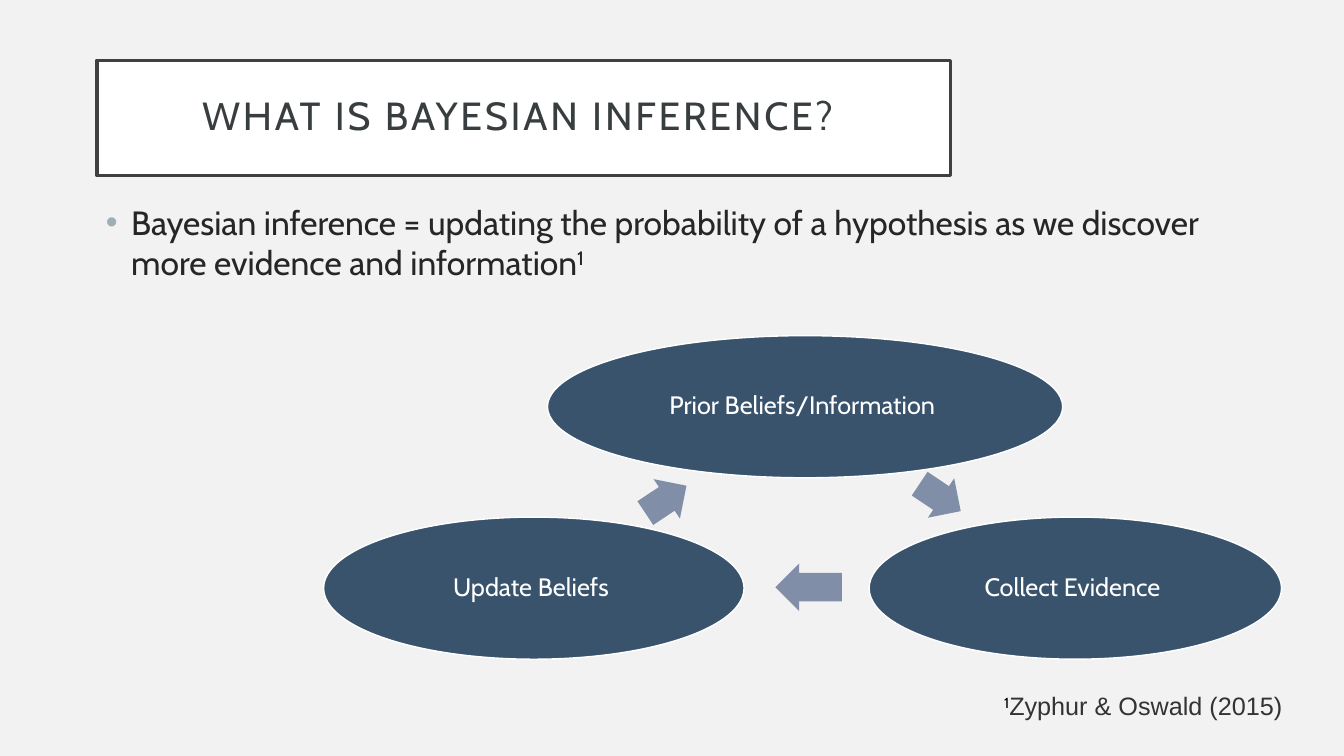
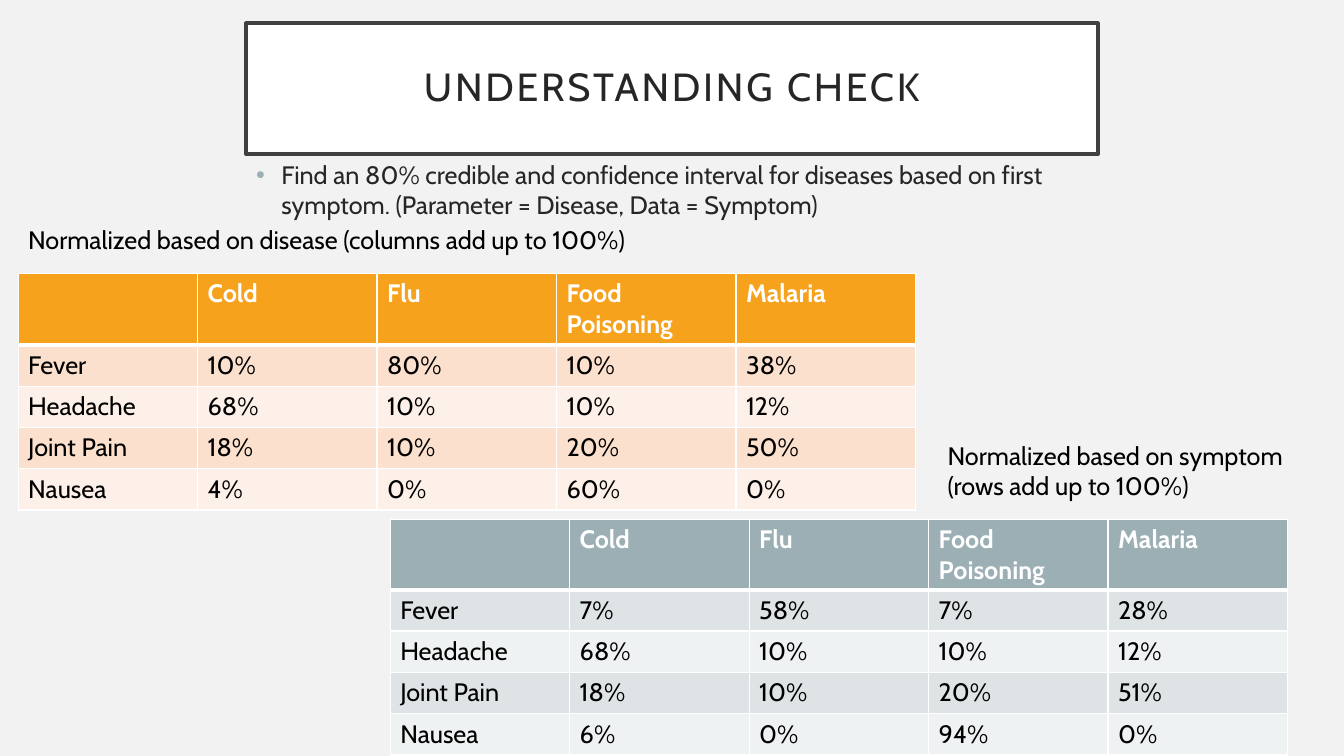
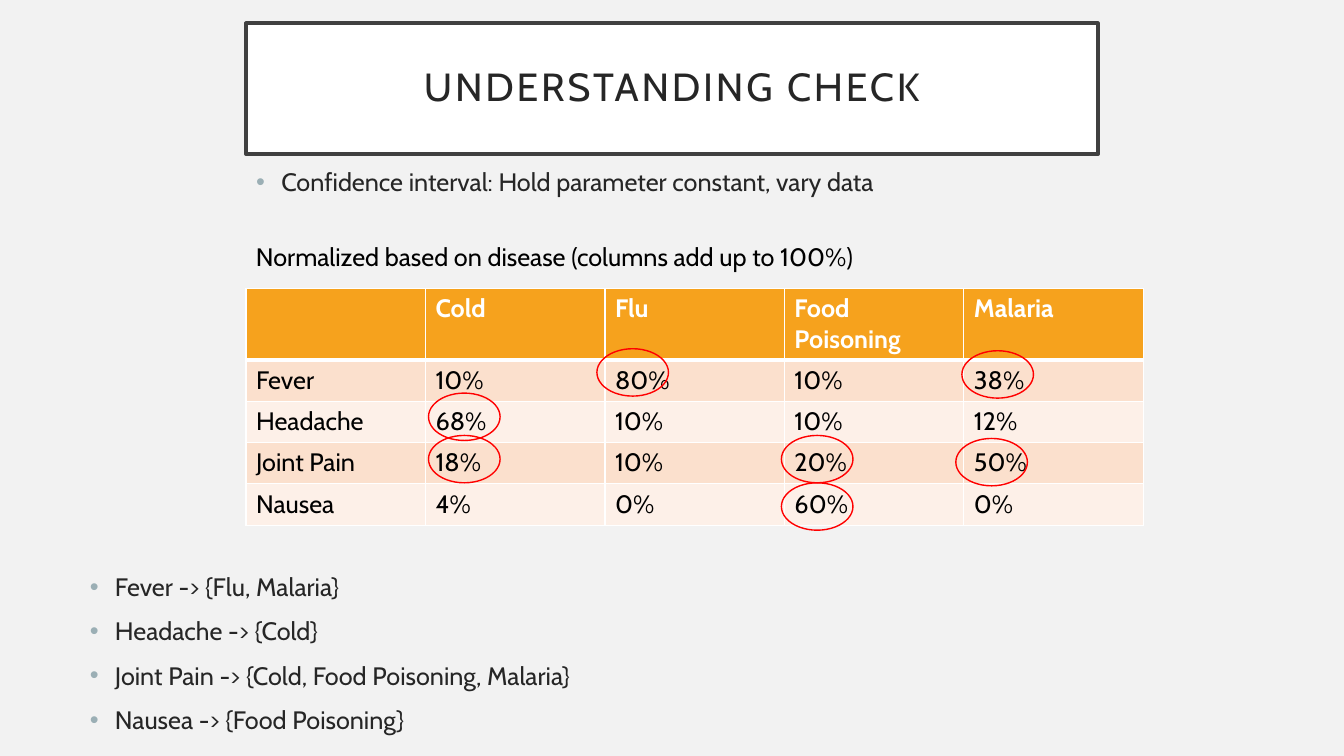
from dataclasses import dataclass

from lxml.etree import SubElement
from pptx import Presentation
from pptx.dml.color import RGBColor
from pptx.enum.shapes import MSO_SHAPE as Preset
from pptx.enum.text import MSO_ANCHOR as Anchor, MSO_AUTO_SIZE as AutoSize, PP_ALIGN as Align
from pptx.oxml.ns import qn
from pptx.util import Inches, Pt


@dataclass(frozen=True)
class Theme:
    """Colours, fonts and type sizes of the deck."""
    background: str = "F2F2F2"
    white: str = "FFFFFF"
    black: str = "000000"
    frame: str = "404040"
    ink: str = "262626"
    slate: str = "383E40"
    citation: str = "333333"
    bullet: str = "9BAFB5"
    node: str = "3A536D"
    arrow: str = "818EA7"
    mark: str = "FF0000"
    orange: tuple = ("F6A21D", "FBE0CD", "FDF0E8")
    grey: tuple = ("9BAFB5", "DEE3E5", "EFF2F3")
    font: str = "Cabin"
    citation_font: str = "Arial"
    title_size: int = 28
    lead_size: int = 24
    text_size: int = 18


THEME = Theme()
SUPERSCRIPT = {"baseline": 30000}
TITLE_PLACE = (2.44, 0.23, 8.45, 1.3)
BY_DISEASE = "Normalized based on disease (columns add up to 100%)"
BY_SYMPTOM = "Normalized based on symptom (rows add up to 100%)"
DISEASES = ["", "Cold", "Flu", "Food Poisoning", "Malaria"]
DISEASE_ROWS = [
    DISEASES,
    ["Fever", "10%", "80%", "10%", "38%"],
    ["Headache", "68%", "10%", "10%", "12%"],
    ["Joint Pain", "18%", "10%", "20%", "50%"],
    ["Nausea", "4%", "0%", "60%", "0%"],
]
SYMPTOM_ROWS = [
    DISEASES,
    ["Fever", "7%", "58%", "7%", "28%"],
    ["Headache", "68%", "10%", "10%", "12%"],
    ["Joint Pain", "18%", "10%", "20%", "51%"],
    ["Nausea", "6%", "0%", "94%", "0%"],
]


def apply(target, values):
    """Set every attribute named in a dict of format values."""
    for name, value in values.items():
        setattr(target, name, value)


def inches(place):
    """Turn a tuple of numbers into lengths."""
    return [Inches(number) for number in place]


def paint(fill, color):
    """Fill solidly with a colour, or leave empty for None."""
    if color is None:
        fill.background()
    else:
        fill.solid()
        fill.fore_color.rgb = RGBColor.from_string(color)


class Page:
    """Draws themed elements on the current slide of a deck."""

    def __init__(self, deck, theme):
        """Keep the deck and theme and paint the shared background."""
        self.deck, self.theme, self.slide = deck, theme, None
        paint(deck.slide_master.background.fill, theme.background)

    def start(self, layout):
        """Add a slide and make it the current one."""
        self.slide = self.deck.slides.add_slide(self.deck.slide_layouts.get_by_name(layout))

    def add_spans(self, para, spans, size=None, color=None, bold=False, paragraph=None):
        """Fill a paragraph with (text, run attributes) spans."""
        apply(para, paragraph or {})
        for text, extra in spans:
            run = para.add_run()
            run.text = text
            extra = dict(extra)
            shade = extra.pop("color", color or self.theme.black)
            apply(run.font, {"name": extra.pop("font", self.theme.font), "bold": bold,
                             "size": Pt(size or self.theme.text_size)})
            run.font.color.rgb = RGBColor.from_string(shade)
            for name, value in extra.items():
                run._r.get_or_add_rPr().set(name, str(value))

    def frame(self, shape, margin=None, **values):
        """Format the text frame of a shape and return it."""
        frame = shape.text_frame
        apply(frame, {"word_wrap": True, "auto_size": AutoSize.NONE, **values})
        if margin is not None:
            apply(frame, {f"margin_{side}": Inches(margin)
                          for side in ("left", "top", "right", "bottom")})
        return frame

    def place(self, shape, place):
        """Move and size a placeholder."""
        apply(shape, dict(zip(("left", "top", "width", "height"), inches(place))))

    def title(self, text, place=TITLE_PLACE, color=None):
        """Add the framed, letter-spaced title."""
        box = self.slide.shapes.title
        self.place(box, place)
        paint(box.fill, self.theme.white)
        paint(box.line.fill, self.theme.frame)
        box.line.width = Pt(2.5)
        frame = self.frame(box, 0.2, vertical_anchor=Anchor.MIDDLE)
        self.add_spans(frame.paragraphs[0], [(text, {"spc": 200})], self.theme.title_size,
                       color or self.theme.ink,
                       paragraph={"alignment": Align.CENTER, "line_spacing": 0.9})

    def bullets(self, index, items, place, size=None):
        """Put a bulleted list, one list of spans an item, in a body placeholder."""
        box = self.slide.placeholders[index]
        self.place(box, place)
        frame = self.frame(box, vertical_anchor=Anchor.TOP)
        for number, spans in enumerate(items):
            para = frame.add_paragraph() if number else frame.paragraphs[0]
            self.add_spans(para, spans, size, self.theme.ink,
                           paragraph={"space_before": Pt(10), "alignment": Align.LEFT})
            props = para._p.get_or_add_pPr()
            props.set("marL", str(Inches(0.25)))
            props.set("indent", str(Inches(-0.25)))
            color = SubElement(props, qn("a:buClr"))
            SubElement(color, qn("a:srgbClr"), val=self.theme.bullet)
            SubElement(props, qn("a:buFont"), typeface="Arial")
            SubElement(props, qn("a:buChar"), char="•")

    def label(self, spans, place, wrap=True):
        """Add a plain text box."""
        box = self.slide.shapes.add_textbox(*inches(place))
        frame = self.frame(box, word_wrap=wrap, auto_size=AutoSize.SHAPE_TO_FIT_TEXT)
        self.add_spans(frame.paragraphs[0], spans)

    def shape(self, preset, place, fill=None, line=None):
        """Add a flat preset shape with a thin outline."""
        shape = self.slide.shapes.add_shape(preset, *inches(place))
        shape.shadow.inherit = False
        paint(shape.fill, fill)
        paint(shape.line.fill, line)
        if line:
            shape.line.width = Pt(1)
        return shape

    def node(self, text, place):
        """Add one labelled ellipse of the cycle."""
        shape = self.shape(Preset.OVAL, place, self.theme.node, self.theme.white)
        frame = self.frame(shape, 0.03, vertical_anchor=Anchor.MIDDLE)
        self.add_spans(frame.paragraphs[0], [(text, {})], color=self.theme.white,
                       paragraph={"alignment": Align.CENTER, "line_spacing": 0.9})

    def arrow(self, place, rotation):
        """Add one turned block arrow of the cycle."""
        shape = self.shape(Preset.RIGHT_ARROW, place, self.theme.arrow)
        shape.rotation = rotation
        shape.adjustments[0], shape.adjustments[1] = 0.6, 0.5

    def borders(self, cell, widths):
        """Draw white cell borders, widths given in points by side."""
        props = cell._tc.get_or_add_tcPr()
        for position, (side, width) in enumerate(widths.items()):
            line = SubElement(props, qn(f"a:ln{side}"), w=str(Pt(width)))
            SubElement(SubElement(line, qn("a:solidFill")), qn("a:srgbClr"),
                       val=self.theme.white)
            props.insert(position, line)

    def table(self, rows, left, top, palette):
        """Add a table with a header and two alternating row fills."""
        column, height = 1.78, 0.41
        size = len(rows), len(rows[0])
        table = self.slide.shapes.add_table(
            *size, *inches((left, top, column * size[1], height * size[0]))).table
        header, odd, even = palette
        for r, values in enumerate(rows):
            fill = header if r == 0 else (even, odd)[r % 2]
            color = self.theme.black if r else self.theme.white
            widths = {"L": 1, "R": 1, "T": 3 if r == 1 else 1, "B": 1 if r else 3}
            for c, text in enumerate(values):
                cell = table.cell(r, c)
                paint(cell.fill, fill)
                self.borders(cell, widths)
                spans = [(text, {})] if text else []
                self.add_spans(cell.text_frame.paragraphs[0], spans, color=color, bold=r == 0)


def inference(page):
    """Build the slide on the cycle of Bayesian inference."""
    page.start("Title and Content")
    page.title("WHAT IS BAYESIAN INFERENCE? ", (0.96, 0.6, 8.47, 1.14), THEME.slate)
    page.bullets(1, [[("Bayesian inference = updating the probability of a hypothesis "
                       "as we discover more evidence and information", {}),
                      ("1", SUPERSCRIPT)]],
                 (0.95, 1.95, 11.45, 3.39), THEME.lead_size)
    for text, place in (("Prior Beliefs/Information ", (5.43, 3.33, 5.11, 1.41)),
                        ("Collect Evidence ", (8.62, 5.13, 4.09, 1.41)),
                        ("Update Beliefs ", (3.21, 5.13, 4.17, 1.41))):
        page.node(text, place)
    for place, rotation in (((9.08, 4.7, 0.49, 0.47), 33.7),
                            ((7.69, 5.59, 0.66, 0.47), 180),
                            ((6.36, 4.72, 0.49, 0.47), 326.3)):
        page.arrow(place, rotation)
    page.label([("1", SUPERSCRIPT),
                ("Zyphur & Oswald (2015)",
                 {"font": THEME.citation_font, "color": THEME.citation})],
               (9.86, 6.8, 3.02, 0.4), wrap=False)


def exercise(page):
    """Build the slide that sets the exercise with both tables."""
    page.start("Title and Content")
    page.title("UNDERSTANDING CHECK")
    page.bullets(1, [[("Find an 80% credible and confidence interval for diseases based on "
                       "first symptom. (Parameter = Disease, Data = Symptom)", {})]],
                 (2.44, 1.53, 8.45, 0.94))
    page.table(DISEASE_ROWS, 0.18, 2.71, THEME.orange)
    page.label([(BY_DISEASE, {})], (0.18, 2.18, 6.67, 0.4))
    page.table(SYMPTOM_ROWS, 3.87, 5.15, THEME.grey)
    page.label([(BY_SYMPTOM, {})], (9.3, 4.32, 3.56, 0.71))


def answer(page):
    """Build the slide that marks the confidence intervals."""
    page.start("Two Content")
    page.title("UNDERSTANDING CHECK")
    page.bullets(1, [[("Confidence interval: Hold parameter constant, vary data", {})]],
                 (2.44, 1.6, 8.45, 0.94))
    page.table(DISEASE_ROWS, 2.44, 2.86, THEME.orange)
    page.label([(BY_DISEASE, {})], (2.44, 2.34, 6.67, 0.4))
    for left, top in ((4.25, 3.9), (4.25, 4.32), (5.92, 3.46), (7.75, 4.79),
                      (7.75, 4.32), (9.54, 3.48), (9.48, 4.35)):
        page.shape(Preset.OVAL, (left, top, 0.71, 0.47), line=THEME.mark)
    intervals = ("Fever -> {Flu, Malaria}", "Headache -> {Cold}",
                 "Joint Pain -> {Cold, Food Poisoning, Malaria}",
                 "Nausea -> {Food Poisoning}")
    page.bullets(2, [[(text, {})] for text in intervals], (0.79, 5.62, 10.1, 1.88))


def main():
    """Build and save the deck."""
    deck = Presentation()
    apply(deck, {"slide_width": Inches(13.33), "slide_height": Inches(7.5)})
    page = Page(deck, THEME)
    for build in (inference, exercise, answer):
        build(page)
    deck.save("out.pptx")


main()
